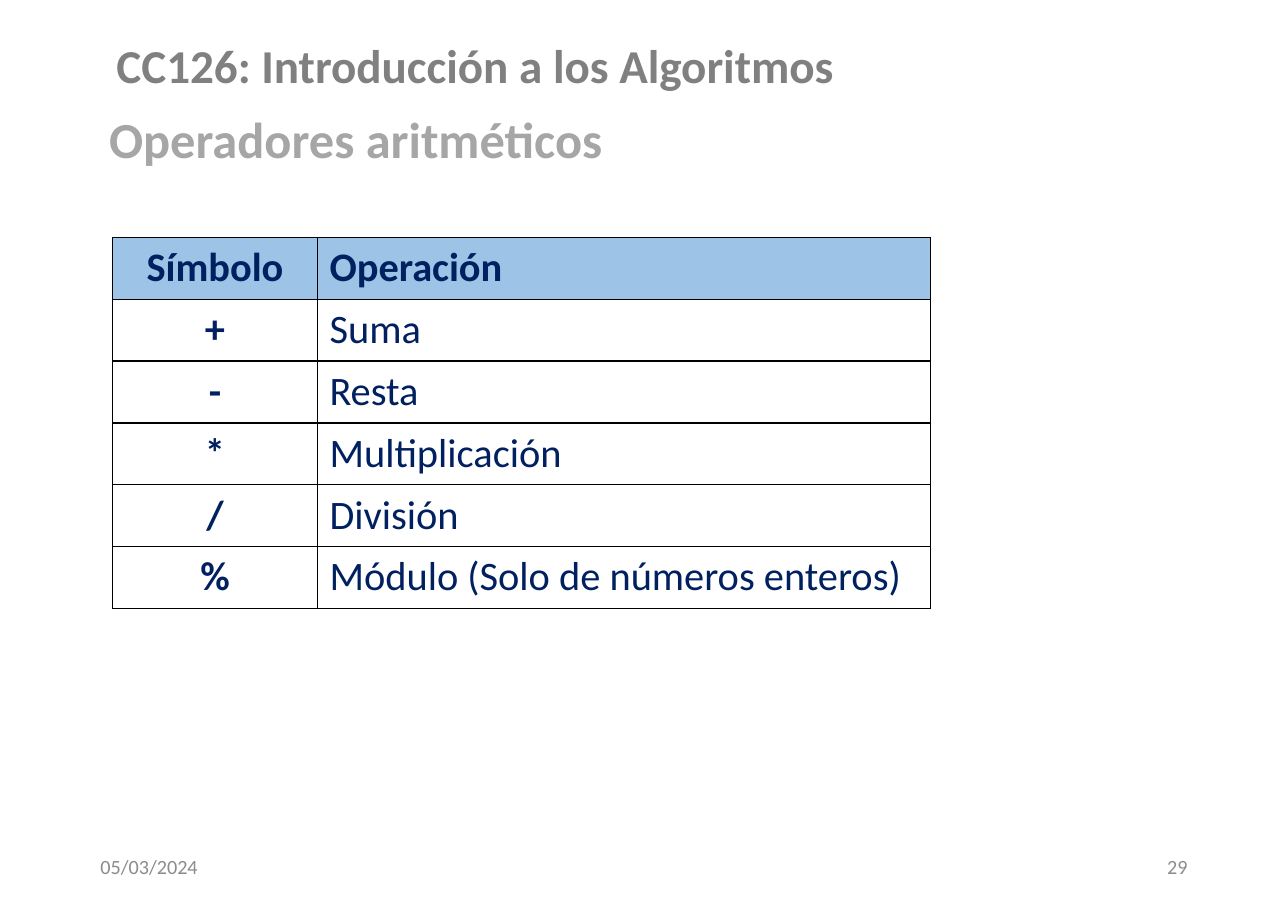
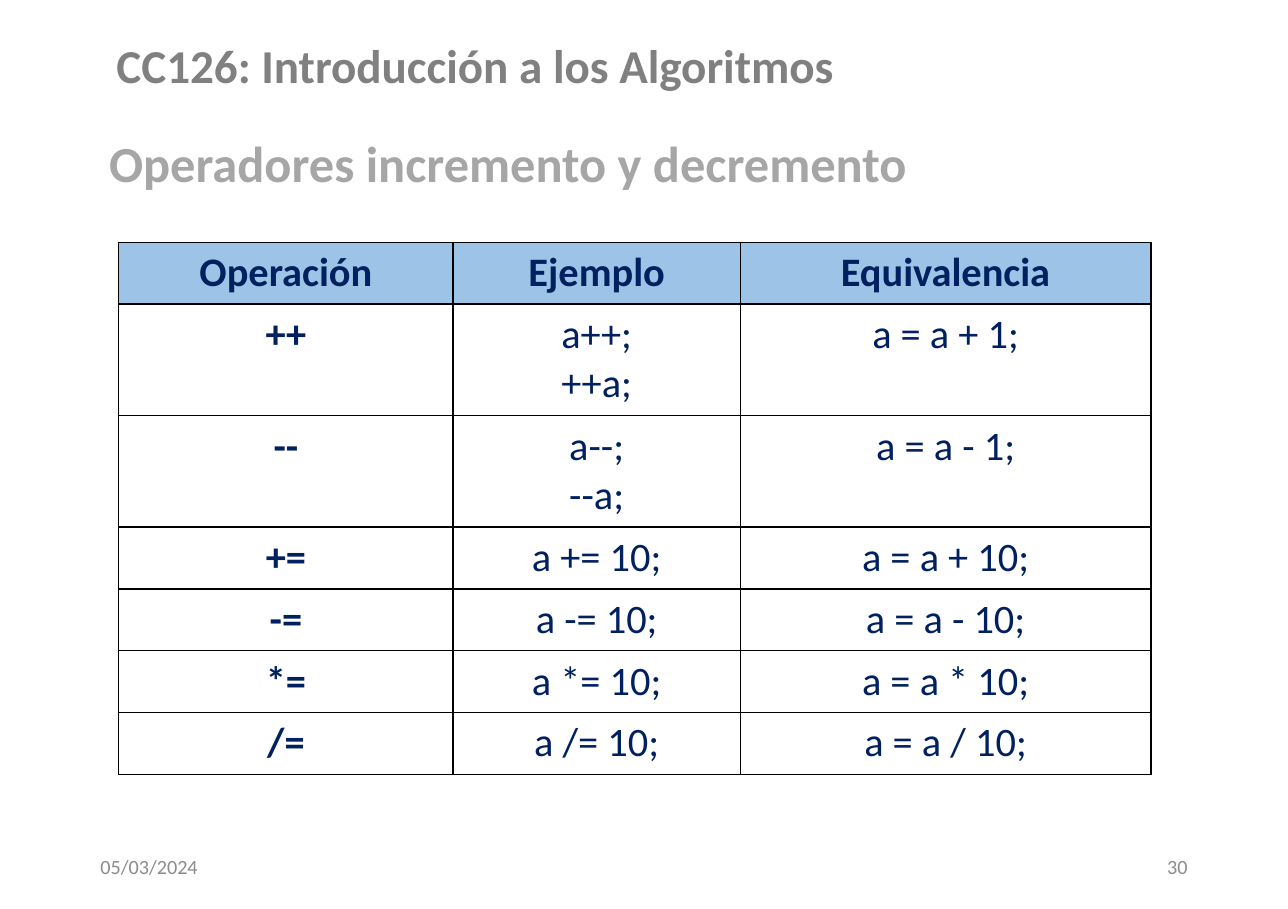
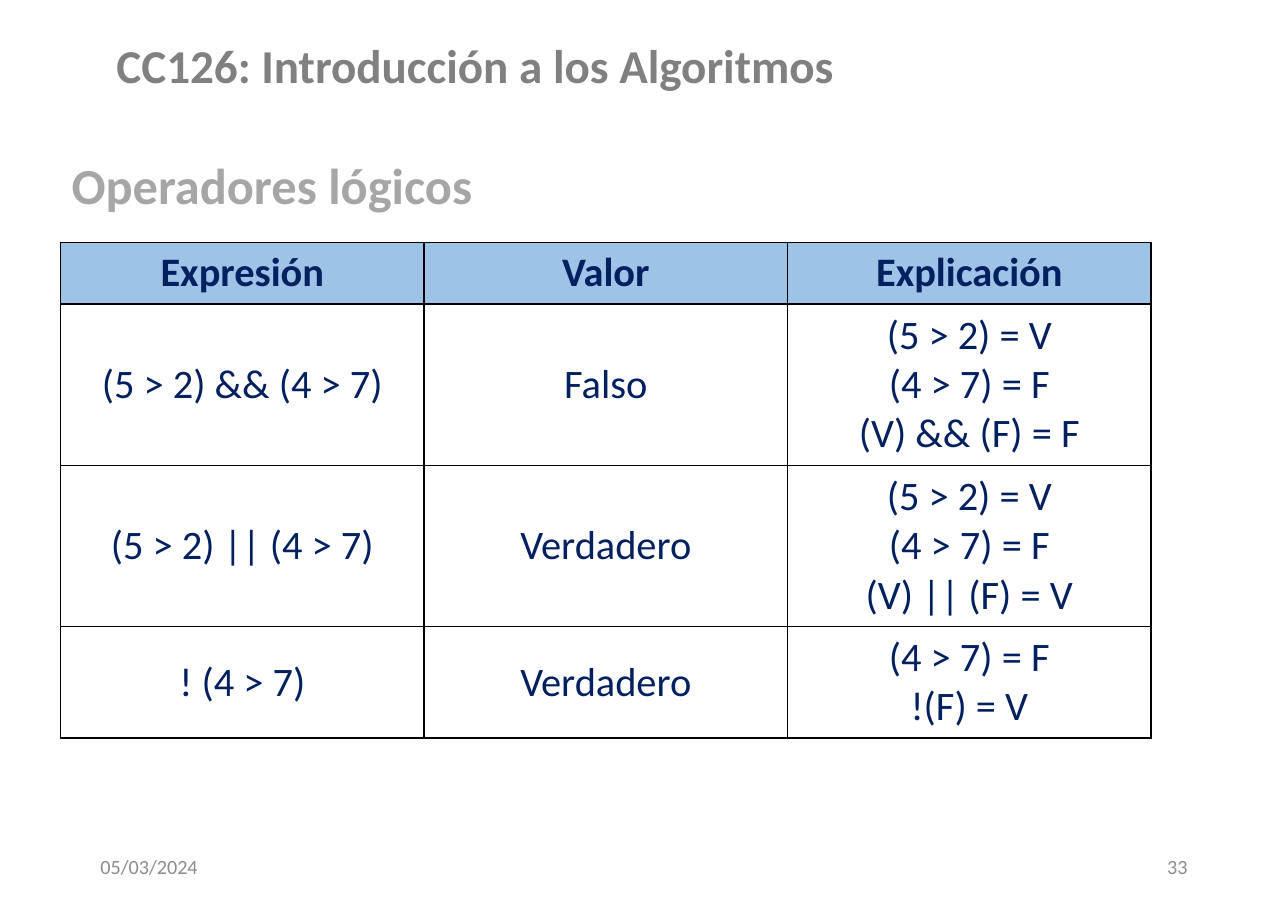
from lxml import etree
from pptx import Presentation
from pptx.dml.color import RGBColor
from pptx.enum.text import MSO_ANCHOR, PP_ALIGN
from pptx.oxml.ns import qn
from pptx.util import Inches, Pt

LEFT, CENTER, RIGHT = PP_ALIGN.LEFT, PP_ALIGN.CENTER, PP_ALIGN.RIGHT
TOP, MIDDLE = MSO_ANCHOR.TOP, MSO_ANCHOR.MIDDLE

FONT = "Calibri"
COURSE_GRAY = RGBColor(0x80, 0x80, 0x80)
TITLE_GRAY = RGBColor(0xA6, 0xA6, 0xA6)
FOOTER_GRAY = RGBColor(0x8C, 0x8C, 0x8C)
NAVY = RGBColor(0x00, 0x20, 0x60)
HEADER_BLUE = RGBColor(0x9D, 0xC3, 0xE6)
BORDER = RGBColor(0x00, 0x00, 0x00)

COURSE = "CC126: Introducción a los Algoritmos"
DATE = "05/03/2024"
LINE_HEIGHT, CELL_PADDING = 0.41, 0.1


class Deck:
    """Holds the shared style and the slide being built."""

    def __init__(self):
        self.prs = Presentation()
        self.prs.slide_width = Inches(10.63)
        self.prs.slide_height = Inches(7.5)
        self.s = None

    def slide(self, title, left, top, width, number):
        """Start a slide with its title, course name and footer."""
        self.s = self.prs.slides.add_slide(self.prs.slide_layouts[5])
        self.title(title, left, top, width)
        self.text(COURSE, 0.56, 0.11, 6.72, 0.85, 28, COURSE_GRAY, CENTER, True)
        self.text(DATE, 0.73, 6.95, 2.39, 0.4, 12, FOOTER_GRAY, LEFT)
        self.text(str(number), 7.51, 6.95, 2.39, 0.4, 12, FOOTER_GRAY, RIGHT)

    def set_text(self, tf, text, size, color, align, bold=False):
        tf.text = text
        for p in tf.paragraphs:
            p.alignment = align
            p.font.name = FONT
            p.font.size = Pt(size)
            p.font.bold = bold
            p.font.color.rgb = color

    def title(self, text, left, top, width):
        sp = self.s.shapes.title
        sp.left, sp.top = Inches(left), Inches(top)
        sp.width, sp.height = Inches(width), Inches(0.84)
        tf = sp.text_frame
        tf.vertical_anchor = TOP
        tf.margin_left = Inches(0.17)
        self.set_text(tf, text, 30, TITLE_GRAY, LEFT, True)
        p = tf.paragraphs[0]
        p.line_spacing = 0.9
        p.space_before = Pt(10)

    def text(self, text, left, top, width, height, size, color, align, bold=False):
        box = self.s.shapes.add_textbox(
            Inches(left), Inches(top), Inches(width), Inches(height))
        tf = box.text_frame
        tf.word_wrap = True
        tf.vertical_anchor = MIDDLE
        self.set_text(tf, text, size, color, align, bold)

    def borders(self, cell):
        tc_pr = cell._tc.get_or_add_tcPr()
        for side in ("a:lnL", "a:lnR", "a:lnT", "a:lnB"):
            ln = etree.SubElement(tc_pr, qn(side), w=str(Pt(1)))
            fill = etree.SubElement(ln, qn("a:solidFill"))
            etree.SubElement(fill, qn("a:srgbClr"), val=str(BORDER))

    def table(self, left, top, widths, rows, aligns, bold_first=True, anchor=TOP):
        """Add a table whose row heights follow the lines of text in each row."""
        heights = [CELL_PADDING + LINE_HEIGHT * max(t.count("\n") + 1 for t in row)
                   for row in rows]
        table = self.s.shapes.add_table(
            len(rows), len(widths), Inches(left), Inches(top),
            Inches(sum(widths)), Inches(sum(heights))).table
        table.first_row = table.horz_banding = False
        for column, width in zip(table.columns, widths):
            column.width = Inches(width)
        for r, row in enumerate(rows):
            table.rows[r].height = Inches(heights[r])
            for c, text in enumerate(row):
                cell = table.cell(r, c)
                header = r == 0
                self.borders(cell)
                if header:
                    cell.fill.solid()
                    cell.fill.fore_color.rgb = HEADER_BLUE
                else:
                    cell.fill.background()
                cell.vertical_anchor = TOP if header else anchor
                bold = header or (bold_first and c == 0)
                self.set_text(cell.text_frame, text, 24, NAVY, aligns[c], bold)


def main():
    deck = Deck()

    deck.slide("Operadores aritméticos", 0.73, 0.9, 5.65, 29)
    deck.table(0.93, 1.96, [1.69, 5.06], [
        ("Símbolo", "Operación"),
        ("+", "Suma"),
        ("-", "Resta"),
        ("*", "Multiplicación"),
        ("/", "División"),
        ("%", "Módulo (Solo de números enteros)"),
    ], [CENTER, LEFT])

    deck.slide("Operadores incremento y decremento", 0.73, 1.1, 8.52, 30)
    deck.table(0.98, 2, [2.76, 2.37, 3.39], [
        ("Operación", "Ejemplo", "Equivalencia"),
        ("++", "a++;\n++a;", "a = a + 1;"),
        ("--", "a--;\n--a;", "a = a - 1;"),
        *((f"{op}=", f"a {op}= 10;", f"a = a {op} 10;") for op in "+-*/"),
    ], [CENTER] * 3)

    deck.slide("Operadores lógicos", 0.42, 1.28, 8.52, 33)
    deck.table(0.5, 2, [3, 3, 3], [
        ("Expresión", "Valor", "Explicación"),
        ("(5 > 2) && (4 > 7)", "Falso",
         "(5 > 2) = V\n(4 > 7) = F\n(V) && (F) = F"),
        ("(5 > 2) || (4 > 7)", "Verdadero",
         "(5 > 2) = V\n(4 > 7) = F\n(V) || (F) = V"),
        ("! (4 > 7)", "Verdadero", "(4 > 7) = F\n!(F) = V"),
    ], [CENTER] * 3, bold_first=False, anchor=MIDDLE)

    deck.prs.save("out.pptx")


if __name__ == "__main__":
    main()
